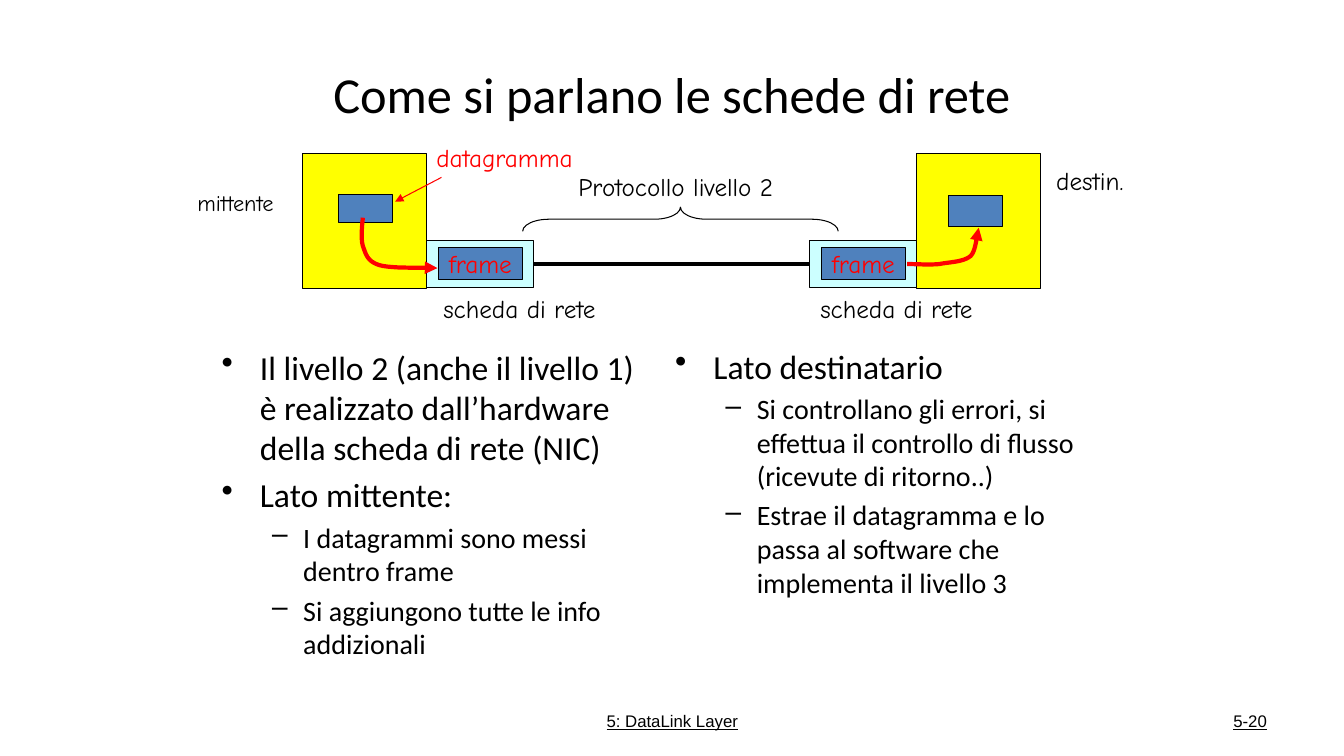
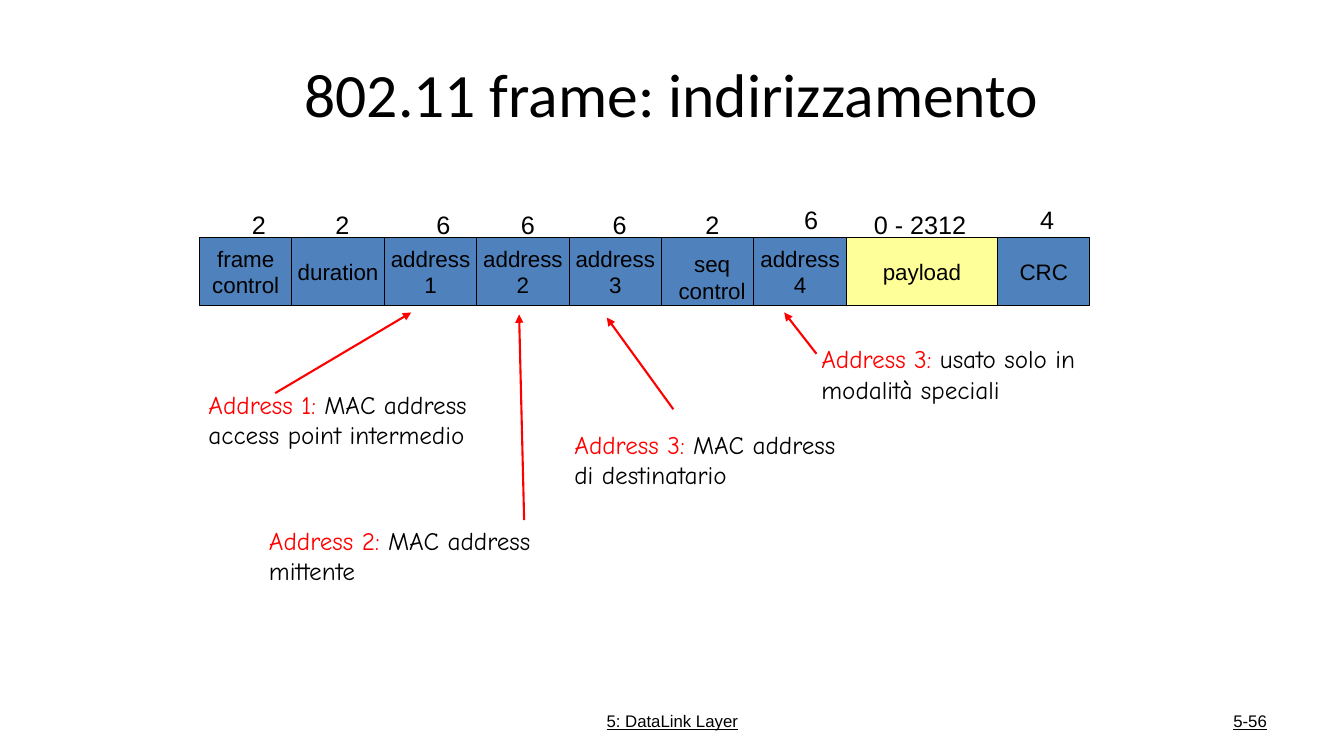
from lxml.etree import SubElement
from pptx import Presentation
from pptx.dml.color import RGBColor
from pptx.enum.shapes import MSO_CONNECTOR, MSO_SHAPE
from pptx.enum.text import MSO_ANCHOR, MSO_AUTO_SIZE, PP_ALIGN
from pptx.oxml.ns import qn
from pptx.util import Inches, Pt

# Slide size and grid: 40 columns by 30 rows
W, H = Inches(13.333), Inches(7.5)
COLS, ROWS = 40, 30

COLORS = {
    "black": "000000",
    "red": "FF0000",
    "blue": "4F81BD",
    "yellow": "FFFF00",
    "pale_yellow": "FFFF99",
    "cyan": "CCFFFF",
}
BODY, HAND, SANS = "Calibri", "Comic Neue", "Arial"
LEFT, CENTER, RIGHT = PP_ALIGN.LEFT, PP_ALIGN.CENTER, PP_ALIGN.RIGHT
TOP, MIDDLE = MSO_ANCHOR.TOP, MSO_ANCHOR.MIDDLE
FOOTER = "5: DataLink Layer"

# Bullet levels: character, left margin, hanging indent (inches), size
LEVELS = [("•", 0.38, 0.38, 24), ("–", 0.81, 0.31, 20)]


def rgb(name):
    return RGBColor.from_string(COLORS[name])


def point(col, row):
    return round(W * col / COLS), round(H * row / ROWS)


def box(col, row, width, height):
    return point(col, row) + point(width, height)


# Text
def write(tf, paragraphs, size=18, font=HAND, color="black", align=LEFT,
          anchor=TOP, wrap=False, underline=None):
    """Fill a frame; a paragraph is a string or a list of (text, colour)."""
    tf.word_wrap = wrap
    tf.vertical_anchor = anchor
    for i, runs in enumerate(paragraphs):
        p = tf.paragraphs[0] if i == 0 else tf.add_paragraph()
        p.alignment = align
        for text, tint in [(runs, color)] if isinstance(runs, str) else runs:
            r = p.add_run()
            r.text = text
            r.font.size, r.font.name = Pt(size), font
            r.font.underline = underline
            r.font.color.rgb = rgb(tint)


def add_label(s, place, *paragraphs, **style):
    tf = s.shapes.add_textbox(*box(*place)).text_frame
    write(tf, paragraphs, **style)
    tf.auto_size = MSO_AUTO_SIZE.SHAPE_TO_FIT_TEXT


def add_bullets(s, place, items):
    tf = s.shapes.add_textbox(*box(*place)).text_frame
    write(tf, [text for level, text in items], font=BODY, wrap=True)
    for i, (p, (level, text)) in enumerate(zip(tf.paragraphs, items)):
        char, margin, hang, size = LEVELS[level]
        pPr = p._p.get_or_add_pPr()
        pPr.set("marL", str(Inches(margin)))
        pPr.set("indent", str(-Inches(hang)))
        SubElement(pPr, qn("a:buChar")).set("char", char)
        p.level = level
        p.space_before = Pt(0.2 * size if i else 0)
        p.runs[0].font.size = Pt(size)


# Shapes and lines
def outline(shape, color="black", width=0.75, arrow=False):
    shape.line.color.rgb = rgb(color)
    shape.line.width = Pt(width)
    if arrow:
        ln = shape._element.spPr.find(qn("a:ln"))
        SubElement(ln, qn("a:tailEnd")).set("type", "triangle")


def add_box(s, place, fill, *paragraphs, **style):
    sp = s.shapes.add_shape(MSO_SHAPE.RECTANGLE, *box(*place))
    sp.shadow.inherit = False
    sp.fill.solid()
    sp.fill.fore_color.rgb = rgb(fill)
    outline(sp)
    if paragraphs:
        write(sp.text_frame, paragraphs, align=CENTER, anchor=MIDDLE, **style)
    return sp


def add_line(s, start, end, **style):
    line = s.shapes.add_connector(MSO_CONNECTOR.STRAIGHT, *point(*start), *point(*end))
    outline(line, **style)
    SubElement(line._element.spPr, qn("a:effectLst"))
    return line


def bezier(a, b, c, d, steps=12):
    for i in range(1, steps + 1):
        t = i / steps
        u = 1 - t
        yield point(*(u**3 * p + 3 * u * u * t * q + 3 * u * t * t * v + t**3 * w
                      for p, q, v, w in zip(a, b, c, d)))


def add_curved_arrow(s, knots):
    """Knots: start, then two control points and an end for each curve."""
    vertices = [v for i in range(0, len(knots) - 1, 3) for v in bezier(*knots[i:i + 4])]
    builder = s.shapes.build_freeform(*point(*knots[0]))
    builder.add_line_segments(vertices, close=False)
    sp = builder.convert_to_shape()
    sp.shadow.inherit = False
    sp.fill.background()
    outline(sp, color="red", width=3, arrow=True)


# Title and footer shared by all slides
def add_slide(prs, title, title_size, number):
    s = prs.slides.add_slide(prs.slide_layouts[5])
    ph = s.shapes.title
    ph.left, ph.top, ph.width, ph.height = box(2, 1.2, 36, 5)
    write(ph.text_frame, [title], size=title_size, font=BODY,
          align=CENTER, anchor=MIDDLE, wrap=True)
    for place, text, align in [((13.68, 27.8, 12.66, 1.6), FOOTER, CENTER),
                               ((28.67, 27.8, 9.33, 1.6), number, RIGHT)]:
        tf = s.shapes.add_textbox(*box(*place)).text_frame
        write(tf, [text], size=12, font=SANS, align=align, anchor=MIDDLE,
              wrap=True, underline=True)
    return s


def network_cards(prs):
    s = add_slide(prs, "Come si parlano le schede di rete", 36, "5-20")

    # Hosts, each with a datagram, and their network cards
    host_w, card_w, card_top, card_h = 3.7, 3.17, 9.54, 1.88
    cards = []
    for host_x, card_x, datagram in [
        (9, 12.7, (10.08, 7.72, 1.6, 1.12)),
        (27.27, 24.1, (28.23, 7.76, 1.6, 1.24)),
    ]:
        cards.append(add_box(s, (card_x, card_top, card_w, card_h), "cyan"))
        add_box(s, (card_x + 0.35, card_top + 0.29, 2.49, 1.28), "blue", "frame", color="red")
        add_box(s, (host_x, 6.08, host_w, 5.36), "yellow")
        add_box(s, datagram, "blue")

    # Link between the cards
    middle = card_top + card_h / 2
    link = add_line(s, (12.7 + card_w, middle), (24.1, middle), width=3)
    link.begin_connect(cards[0], 3)
    link.end_connect(cards[1], 1)

    # Path of the datagram into and out of the frames
    add_curved_arrow(s, [(10.8, 8.64), (10.77, 9.04), (10.74, 9.48), (10.8, 9.76),
                         (10.89, 10.08), (10.92, 10.36), (11.28, 10.52),
                         (11.67, 10.68), (12.72, 10.6), (13.02, 10.64)])
    add_curved_arrow(s, [(27, 10.48), (27.33, 10.48), (27.63, 10.52), (27.96, 10.48),
                         (28.26, 10.4), (28.68, 10.4), (28.89, 10.16),
                         (29.07, 9.92), (29.07, 9.2), (29.13, 9.04)])
    add_line(s, (13.14, 7.04), (11.76, 8), color="red", arrow=True)

    # Brace over the link
    brace = s.shapes.add_shape(MSO_SHAPE.LEFT_BRACE, *box(19.89, 2.44, 0.72, 12.52))
    brace.rotation = 90
    brace.adjustments[0] = 1.08
    brace.shadow.inherit = False
    brace.fill.background()
    outline(brace)

    # Labels
    add_label(s, (5.58, 7.32, 3.33, 1.48), "mittente", size=16)
    add_label(s, (31.14, 6.36, 2.97, 1.6), "destin.")
    add_label(s, (12.69, 5.44, 4.86, 1.6), "datagramma", color="red")
    add_label(s, (16.92, 6.6, 6.99, 1.6), "Protocollo livello 2")
    for col in (12.9, 24.12):
        add_label(s, (col, 11.46, 5.67, 1.6), "scheda di rete")

    # Body columns
    add_bullets(s, (6.3, 13.56, 13.35, 13.24), [
        (0, "Il livello 2 (anche il livello 1) è realizzato dall’hardware "
            "della scheda di rete (NIC)"),
        (0, "Lato mittente:"),
        (1, "I datagrammi sono messi dentro frame"),
        (1, "Si aggiungono tutte le info addizionali"),
    ])
    add_bullets(s, (19.8, 13.52, 13.41, 13.08), [
        (0, "Lato destinatario"),
        (1, "Si controllano gli errori, si effettua il controllo di flusso "
            "(ricevute di ritorno..)"),
        (1, "Estrae il datagramma e lo passa al software che implementa il livello 3"),
    ])


def frame_addresses(prs):
    s = add_slide(prs, "802.11 frame: indirizzamento", 44, "5-56")

    # Frame fields: lines, byte count, column and row of the count
    fields = [
        (["frame", "control"], "2", 7.2, 8.12),
        (["duration"], "2", 9.69, 8.12),
        (["address", "1"], "6", 12.69, 8.12),
        (["address", "2"], "6", 15.21, 8.12),
        (["address", "3"], "6", 17.94, 8.12),
        ([], "2", 20.7, 8.12),
        (["address", "4"], "6", 23.64, 7.92),
        (["payload"], "0 - 2312", 25.71, 8.12),
        (["CRC"], "4", 30.66, 7.92),
    ]
    col = 5.94
    for lines, count, count_col, count_row in fields:
        payload = lines == ["payload"]
        width = 4.5 if payload else 2.75
        add_box(s, (col, 9.44, width, 2.68), "pale_yellow" if payload else "blue",
                *lines, size=16, font=SANS)
        add_label(s, (count_col, count_row, 3.36 if payload else 1.02, 1.6),
                  count, font=SANS)
        col += width
    add_label(s, (19.89, 9.72, 2.61, 2.56), "seq", "control",
              size=16, font=SANS, align=CENTER)

    # Explanations of the addresses: place, wrap, heading, text, arrow
    notes = [
        ((5.91, 15.24, 9.21, 2.8), False, "Address 1:",
         [" MAC address", "access point intermedio"], (8.19, 15.6), (12.24, 12.4)),
        ((7.71, 20.64, 9.33, 2.8), False, "Address 2:",
         [" MAC address", "mittente"], (15.6, 20.64), (15.45, 12.48)),
        ((16.8, 16.84, 10.02, 2.8), True, "Address 3:",
         [" MAC address", "di destinatario"], (20.04, 16.24), (18.06, 12.6)),
        ((24.15, 13.44, 8.55, 2.8), True, "Address 3:",
         [" usato solo in modalità speciali"], (24.3, 14.04), (23.34, 12.4)),
    ]
    for place, wrap, heading, (first, *rest), start, end in notes:
        add_label(s, place, [(heading, "red"), (first, "black")], *rest, wrap=wrap)
        add_line(s, start, end, color="red", width=1.5, arrow=True)


def main():
    prs = Presentation()
    prs.slide_width, prs.slide_height = W, H
    network_cards(prs)
    frame_addresses(prs)
    prs.save("out.pptx")


if __name__ == "__main__":
    main()
